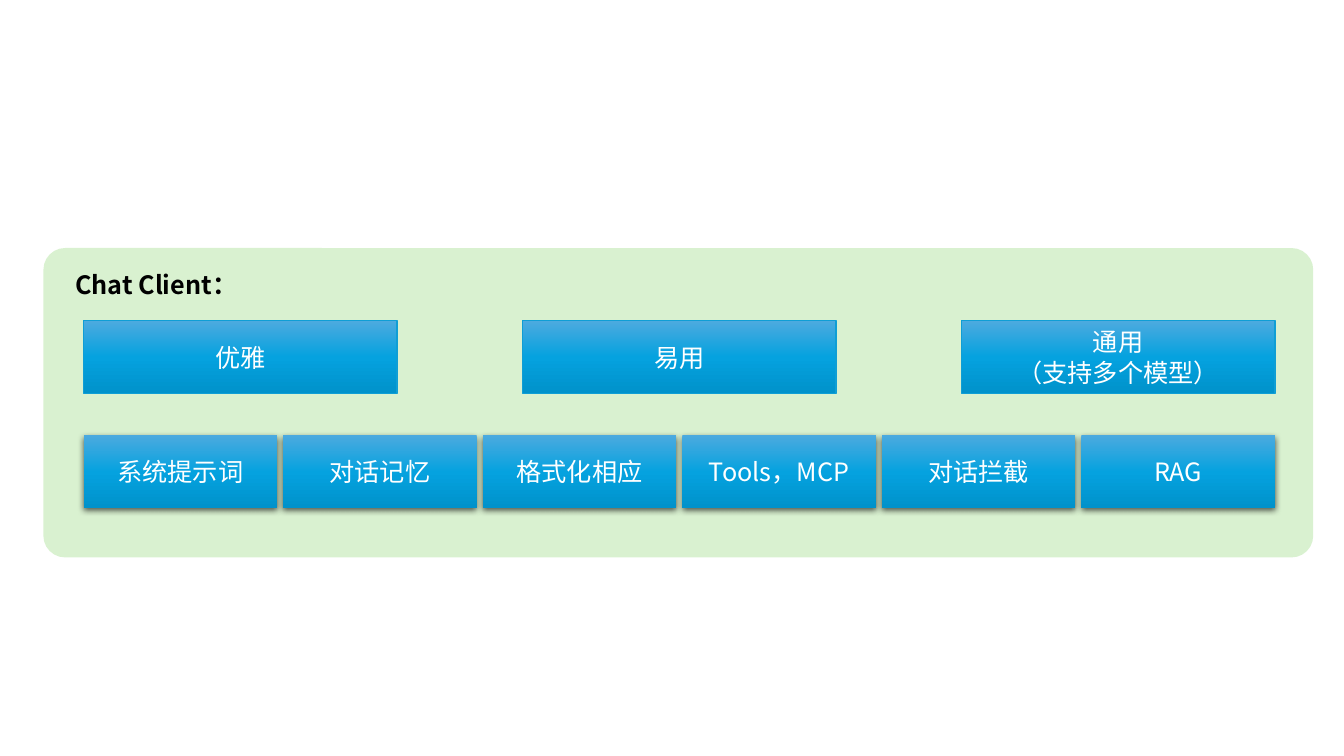
from dataclasses import dataclass

from lxml import etree
from pptx import Presentation
from pptx import util as u
from pptx.dml.color import RGBColor
from pptx.enum import shapes, text
from pptx.oxml import ns


@dataclass(frozen=True)
class Theme:
    font: str = "Noto Sans CJK SC"
    size: float = 18
    heading: str = "000000"
    label: str = "FFFFFF"
    panel: str = "B4E5A2"
    outline: str = "0F9ED5"
    shadow: str = "000000"
    gradient: tuple = ((0, "4CAADF"), (50, "05A2DF"), (100, "0092CB"))


def add_child(parent, tag, **attributes):
    """Append a drawing element with the given attributes."""
    child = etree.SubElement(parent, ns.qn(tag))
    for name, value in attributes.items():
        child.set(name, str(value))
    return child


def write_text(frame, content, *, font, size, color, bold=False,
               anchor=text.MSO_ANCHOR.MIDDLE):
    """Fill a text frame with centred lines in one format."""
    frame.word_wrap = True
    frame.vertical_anchor = anchor
    frame.text = content
    for paragraph in frame.paragraphs:
        paragraph.alignment = text.PP_ALIGN.CENTER
        for run in paragraph.runs:
            run.font.name = font
            run.font.size = u.Pt(size)
            run.font.bold = bold
            run.font.color.rgb = RGBColor.from_string(color)
            add_child(run.font._element, "a:ea", typeface=font)


class SlideBuilder:
    def __init__(self, slide, theme):
        self.slide = slide
        self.theme = theme

    def add_shape(self, kind, left, top, width, height):
        shape = self.slide.shapes.add_shape(
            kind, u.Pt(left), u.Pt(top), u.Pt(width), u.Pt(height))
        shape.shadow.inherit = False
        shape.line.fill.background()
        return shape

    def panel(self, left, top, width, height):
        """Add a translucent rounded panel behind the title."""
        panel = self.add_shape(
            shapes.MSO_SHAPE.ROUNDED_RECTANGLE, left, top, width, height)
        panel.adjustments[0] = 0.07
        panel.fill.solid()
        panel.fill.fore_color.rgb = RGBColor.from_string(self.theme.panel)
        color = panel._element.spPr.find(".//" + ns.qn("a:srgbClr"))
        add_child(color, "a:alpha", val=50000)
        self.slide.shapes.title._element.addprevious(panel._element)

    def title(self, content, left, top, width, height):
        title = self.slide.shapes.title
        title.left, title.top = u.Pt(left), u.Pt(top)
        title.width, title.height = u.Pt(width), u.Pt(height)
        write_text(title.text_frame, content, font=self.theme.font,
                   size=self.theme.size, color=self.theme.heading, bold=True,
                   anchor=text.MSO_ANCHOR.TOP)
        title.text_frame.auto_size = text.MSO_AUTO_SIZE.SHAPE_TO_FIT_TEXT

    def box(self, content, left, top, width, height, raised):
        """Add a gradient box, either raised by a shadow or outlined."""
        box = self.add_shape(
            shapes.MSO_SHAPE.RECTANGLE, left, top, width, height)
        box.fill.gradient()
        box.fill.gradient_angle = 270
        properties = box._element.spPr
        stops = properties.find(".//" + ns.qn("a:gsLst"))
        stops.clear()
        for position, color in self.theme.gradient:
            stop = add_child(stops, "a:gs", pos=position * 1000)
            add_child(stop, "a:srgbClr", val=color)
        if raised:
            shadow = add_child(
                properties.find(ns.qn("a:effectLst")), "a:outerShdw",
                blurRad=u.Pt(4.5), dist=u.Pt(1.5), dir=5400000,
                algn="ctr", rotWithShape=0)
            color = add_child(shadow, "a:srgbClr", val=self.theme.shadow)
            add_child(color, "a:alpha", val=63000)
        else:
            box.line.color.rgb = RGBColor.from_string(self.theme.outline)
            box.line.width = u.Pt(1)
        write_text(box.text_frame, content, font=self.theme.font,
                   size=self.theme.size, color=self.theme.label)

    def row(self, labels, left, top, total_width, box_width, height, raised):
        """Spread equal boxes over the full width."""
        step = (total_width - box_width) / (len(labels) - 1)
        for index, label in enumerate(labels):
            self.box(label, left + index * step, top, box_width, height, raised)


def main():
    presentation = Presentation()
    presentation.slide_width, presentation.slide_height = u.Pt(960), u.Pt(540)
    slide = presentation.slides.add_slide(
        presentation.slide_layouts.get_by_name("Title Only"))
    builder = SlideBuilder(slide, Theme())

    # Panel and heading
    builder.panel(31, 177.2, 907, 221)
    builder.title("Chat Client：", 42.5, 188.6, 138.2, 29)

    # Qualities, then capabilities
    left, total_width, height = 59.7, 851, 52
    builder.row(["优雅", "易用", "通用\n（支持多个模型）"],
                left, 229, total_width, 224, height, raised=False)
    builder.row(["系统提示词", "对话记忆", "格式化相应", "Tools，MCP", "对话拦截", "RAG"],
                left, 311, total_width, 138.2, height, raised=True)

    presentation.save("out.pptx")


if __name__ == "__main__":
    main()
